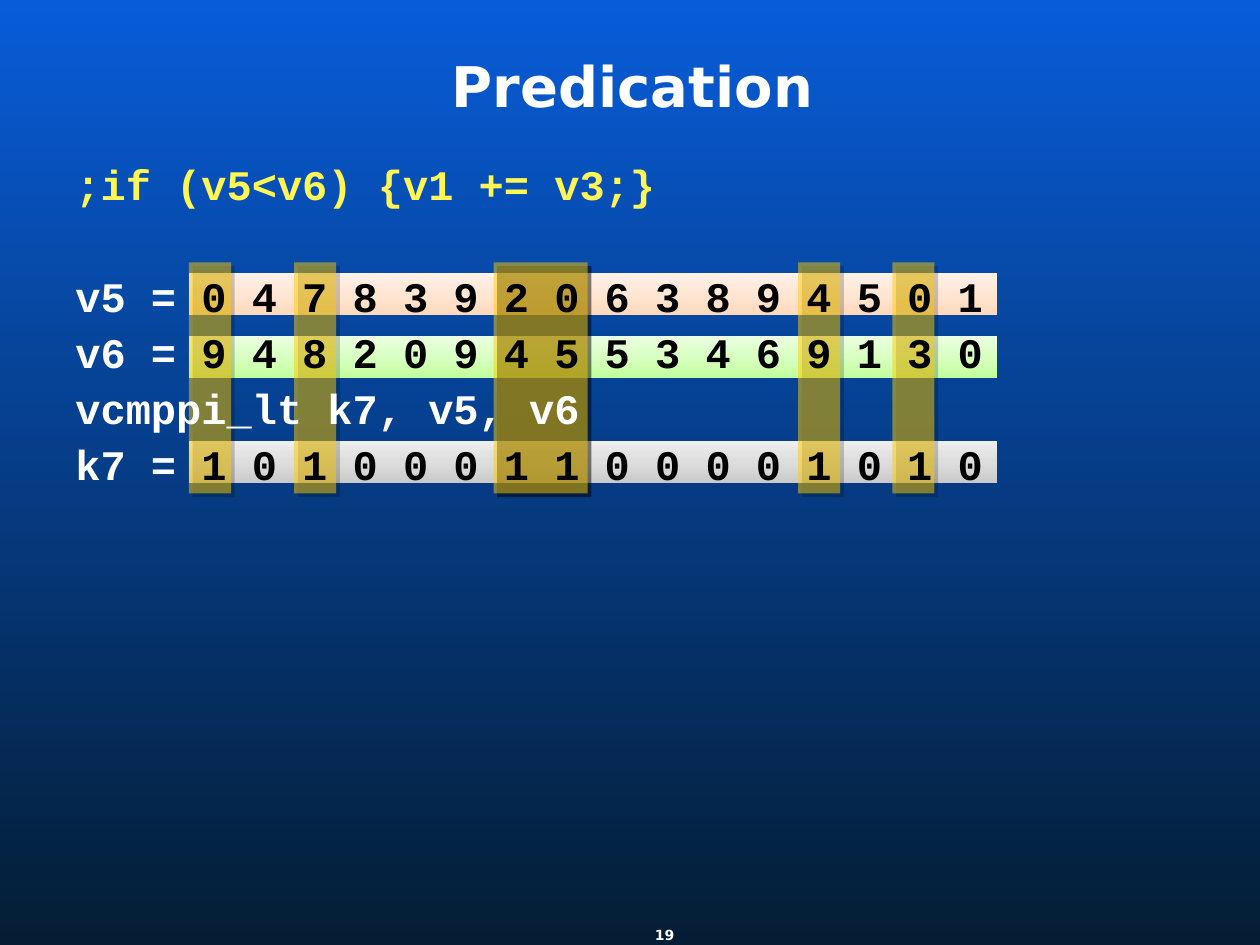
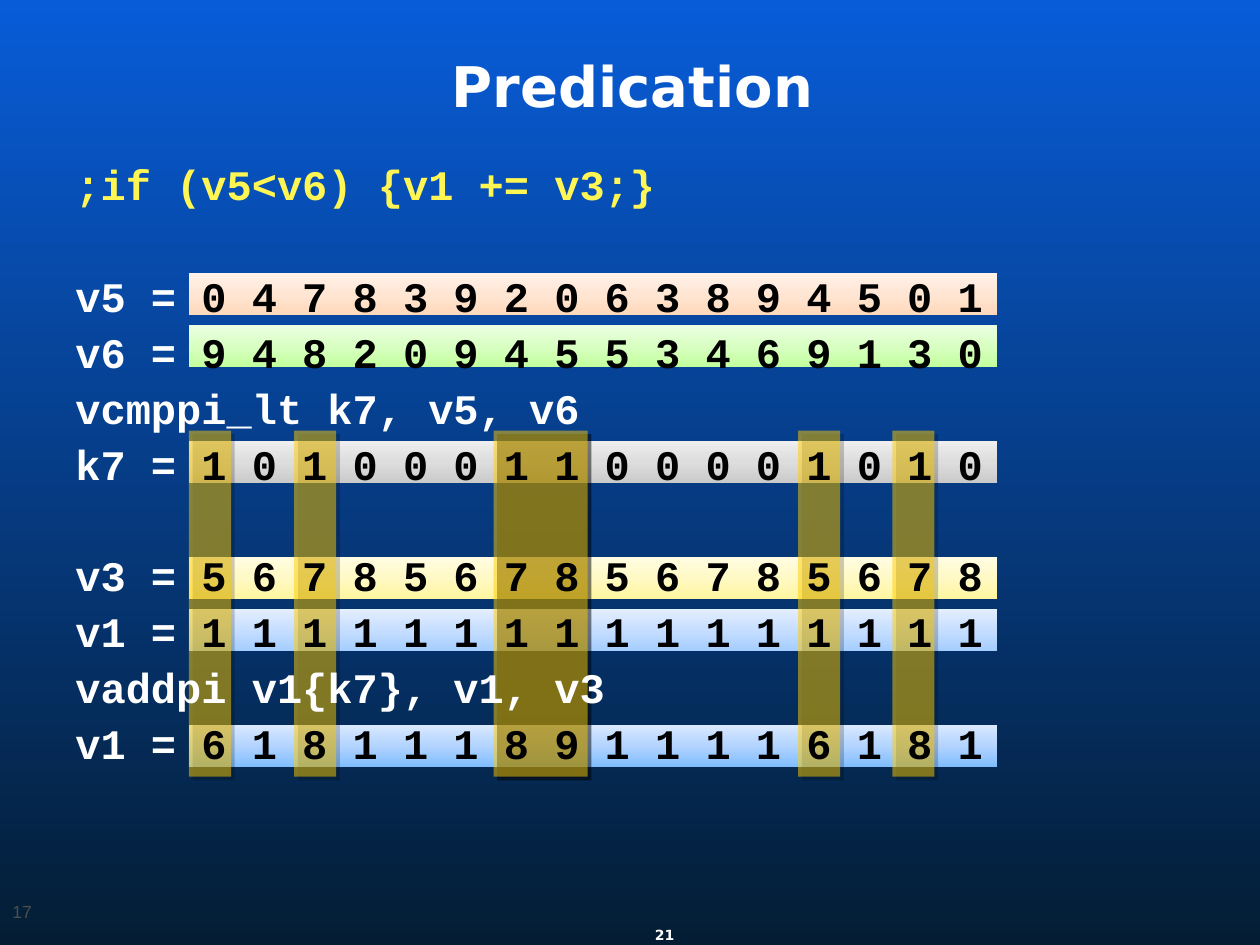
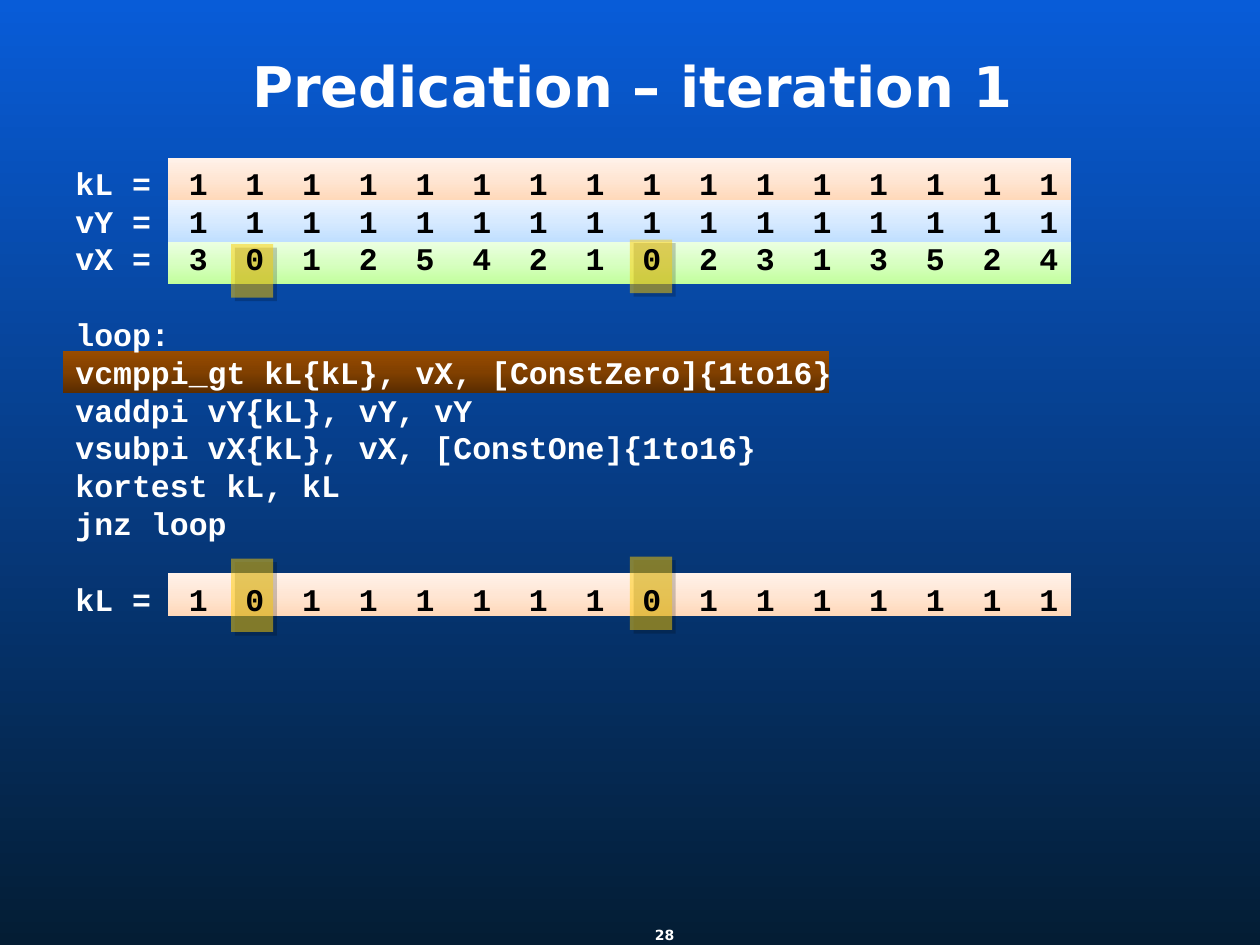
from copy import deepcopy

from lxml import etree
from pptx import Presentation
from pptx.dml.color import RGBColor
from pptx.enum.shapes import MSO_SHAPE
from pptx.enum.text import MSO_ANCHOR, MSO_AUTO_SIZE, PP_ALIGN
from pptx.oxml.ns import qn
from pptx.util import Cm, Pt

RECTANGLE = MSO_SHAPE.RECTANGLE
MIDDLE = MSO_ANCHOR.MIDDLE
TOP = MSO_ANCHOR.TOP
NO_AUTOFIT = MSO_AUTO_SIZE.NONE
CENTER = PP_ALIGN.CENTER
LEFT = PP_ALIGN.LEFT

COLOURS = {
    "white": "FFFFFF", "black": "000000", "comment": "FFF654",
    "grey": "4D4D4D", "mask": "FFCC00",
}
# Gradients run from bottom to top
GRADIENTS = {
    "background": ("041D34", "085CD8"),
    "peach": ("FFD9BA", "FFE6D4", "FFF2EA"),
    "green": ("C2FF9C", "D8FFC2", "EBFFE1"),
    "silver": ("CACACA", "DDDDDD", "EEEEEE"),
    "yellow": ("FFF69F", "FFF9C5", "FFFCE3"),
    "blue": ("A4CDFF", "C6DEFF", "E3EEFF"),
    "result": ("80BDFF", "B3D4FF", "DAE9FF"),
    "pale": ("C0DFFF", "D7EAFF", "EBF4FF"),
    "current": ("5B2D00", "814000", "994C00"),
}
HEADING_FONT = "DejaVu Sans"
CODE_FONT = "Courier New"
NOTE_FONT = "Arial"

# Register bars and lane masks (cm)
BAR_HEIGHT = 0.85
LANE_WIDTH = 0.85
REGISTER_LEFT, REGISTER_WIDTH = 3.81, 16.3
LOOP_LEFT, LOOP_WIDTH = 3.39, 18.2
TRUE_LANES = [(16.09, LANE_WIDTH), (17.99, LANE_WIDTH), (9.95, 1.9),
              (5.93, LANE_WIDTH), (3.81, LANE_WIDTH)]

# Code lines are (instruction or label, lane values); None leaves a gap
COMPARE = [
    (";if (v5<v6) {v1 += v3;}", ""),
    None,
    ("v5 = ", "0 4 7 8 3 9 2 0 6 3 8 9 4 5 0 1"),
    ("v6 = ", "9 4 8 2 0 9 4 5 5 3 4 6 9 1 3 0"),
    ("vcmppi_lt k7, v5, v6", ""),
    ("k7 = ", "1 0 1 0 0 0 1 1 0 0 0 0 1 0 1 0"),
]
MASKED_ADD = [
    None,
    ("v3 = ", "5 6 7 8 5 6 7 8 5 6 7 8 5 6 7 8"),
    ("v1 = ", "1 1 1 1 1 1 1 1 1 1 1 1 1 1 1 1"),
    ("vaddpi v1{k7}, v1, v3", ""),
    ("v1 = ", "6 1 8 1 1 1 8 9 1 1 1 1 6 1 8 1"),
]
LOOP = [
    ("kL =  ", "1  1  1  1  1  1  1  1  1  1  1  1  1  1  1  1"),
    ("vY =  ", "1  1  1  1  1  1  1  1  1  1  1  1  1  1  1  1"),
    ("vX =  ", "3  0  1  2  5  4  2  1  0  2  3  1  3  5  2  4"),
    None,
    ("loop:", ""),
    ("vcmppi_gt kL{kL}, vX, [ConstZero]{1to16}", ""),
    ("vaddpi vY{kL}, vY, vY", ""),
    ("vsubpi vX{kL}, vX, [ConstOne]{1to16}", ""),
    ("kortest kL, kL", ""),
    ("jnz loop", ""),
    None,
    ("kL =  ", "1  0  1  1  1  1  1  1  0  1  1  1  1  1  1  1"),
]


def rgb(name):
    return RGBColor.from_string(COLOURS[name])


def style_font(font, name, size, colour, bold=True):
    font.name = name
    font.size = Pt(size)
    font.bold = bold
    font.color.rgb = rgb(colour)


def paint_gradient(fill, owner, name):
    """Fill with evenly spaced stops, rising from the bottom."""
    hexes = GRADIENTS[name]
    fill.gradient()
    fill.gradient_angle = 90
    stop_list = next(owner.iter(qn("a:gsLst")))
    for _ in hexes[2:]:
        stop_list.append(deepcopy(stop_list[0]))
    for i, (stop, colour) in enumerate(zip(fill.gradient_stops, hexes)):
        stop.position = i / (len(hexes) - 1)
        stop.color.rgb = RGBColor.from_string(colour)


def add_rectangle(slide, left, top, width, height):
    rectangle = slide.shapes.add_shape(
        RECTANGLE, Cm(left), Cm(top), Cm(width), Cm(height))
    rectangle.line.fill.background()
    rectangle.shadow.inherit = False
    return rectangle


def add_bar(slide, left, top, width, gradient):
    bar = add_rectangle(slide, left, top, width, BAR_HEIGHT)
    paint_gradient(bar.fill, bar._element.spPr, gradient)


def add_mask(slide, left, top, width, height):
    """Half-transparent lane marker with a hard shadow."""
    mask = add_rectangle(slide, left, top, width, height)
    mask.fill.solid()
    mask.fill.fore_color.rgb = rgb("mask")
    properties = mask._element.spPr
    fill_colour = properties.find(qn("a:solidFill"))[0]
    etree.SubElement(fill_colour, qn("a:alpha"), val="50000")

    shadow = etree.SubElement(
        properties.find(qn("a:effectLst")), qn("a:outerShdw"),
        blurRad="0", dist=str(Pt(3)), dir=str(45 * 60000),
        algn="tl", rotWithShape="0")
    shadow_colour = etree.SubElement(
        shadow, qn("a:srgbClr"), val=COLOURS["black"])
    opacity = 50 if width > LANE_WIDTH else 40
    etree.SubElement(shadow_colour, qn("a:alpha"), val=str(opacity * 1000))


def add_code(slide, lines, size, pitch, gap_before):
    """Code listing; lane values are black, the rest white or comment yellow."""
    listing = slide.shapes.add_textbox(
        Cm(1.27), Cm(3.18), Cm(22.86), Cm(13.84)).text_frame
    listing.word_wrap = True
    paragraph = listing.paragraphs[0]
    space = 0
    for i, line in enumerate(lines):
        if line is None:
            space += pitch + gap_before
            continue
        if i:
            paragraph = listing.add_paragraph()
        paragraph.line_spacing = Pt(pitch)
        paragraph.space_before = Pt(space)
        space = gap_before
        label, values = line
        label_colour = "comment" if label.startswith(";") else "white"
        for text, colour in ((label, label_colour), (values, "black")):
            if text:
                run = paragraph.add_run()
                run.text = text
                style_font(run.font, CODE_FONT, size, colour)


def add_title(slide, text):
    title = slide.shapes.title
    title.left, title.top = Cm(1.07), Cm(0.64)
    title.width, title.height = Cm(23.37), Cm(2.34)
    frame = title.text_frame
    frame.text = text
    frame.auto_size = NO_AUTOFIT
    frame.vertical_anchor = MIDDLE
    paragraph = frame.paragraphs[0]
    paragraph.alignment = CENTER
    paragraph.line_spacing = 0.9
    style_font(paragraph.runs[0].font, HEADING_FONT, 32, "white")


def add_label(slide, text, box, alignment, anchor):
    frame = slide.shapes.add_textbox(*map(Cm, box)).text_frame
    frame.word_wrap = True
    frame.vertical_anchor = anchor
    frame.text = text
    frame.paragraphs[0].alignment = alignment
    return frame


def add_page_number(slide, number):
    frame = add_label(slide, number, (12.83, 18.42, 1.14, 0.84), CENTER, MIDDLE)
    frame.margin_left = frame.margin_right = 0
    frame.margin_top = frame.margin_bottom = 0
    style_font(frame.paragraphs[0].runs[0].font, HEADING_FONT, 8, "white")


def add_side_number(slide, number):
    frame = add_label(slide, number, (0, 18.03, 1.7, 0.69), LEFT, TOP)
    style_font(frame.paragraphs[0].runs[0].font, NOTE_FONT, 10, "grey", False)


def start_slide(prs, title, number):
    slide = prs.slides.add_slide(prs.slide_layouts[5])
    add_title(slide, title)
    add_page_number(slide, number)
    return slide


def add_registers(slide, bars, mask_top, mask_height):
    for top, gradient in bars:
        add_bar(slide, REGISTER_LEFT, top, REGISTER_WIDTH, gradient)
    for left, width in TRUE_LANES:
        add_mask(slide, left, mask_top, width, mask_height)


def build_compare(prs):
    slide = start_slide(prs, "Predication", "19")
    bars = [(8.89, "silver"), (6.77, "green"), (5.5, "peach")]
    add_registers(slide, bars, 5.29, 4.66)
    add_code(slide, COMPARE, 24, 25.92, 6)


def build_masked_add(prs):
    slide = start_slide(prs, "Predication", "21")
    bars = [(14.61, "result"), (12.28, "blue"), (11.22, "yellow"),
            (8.89, "silver"), (6.56, "green"), (5.5, "peach")]
    add_registers(slide, bars, 8.68, 6.98)
    add_code(slide, COMPARE + MASKED_ADD, 24, 25.92, 6)
    add_side_number(slide, "17")


def build_iteration(prs):
    slide = start_slide(prs, "Predication – iteration 1", "28")
    # Input registers, current instruction, resulting mask
    for i, gradient in enumerate(("peach", "pale", "green")):
        add_bar(slide, LOOP_LEFT, 3.18 + i * BAR_HEIGHT, LOOP_WIDTH, gradient)
    add_bar(slide, 1.27, 7.07, 15.45, "current")
    add_bar(slide, LOOP_LEFT, 11.56, LOOP_WIDTH, "peach")
    # Lanes that reached zero
    for left, input_top, result_top in ((4.66, 4.92, 11.26), (12.7, 4.83, 11.22)):
        add_mask(slide, left, input_top, LANE_WIDTH, 1.08)
        add_mask(slide, left, result_top, LANE_WIDTH, 1.48)
    add_code(slide, LOOP, 18, 21.6, 0)


def main():
    prs = Presentation()
    prs.slide_width, prs.slide_height = Cm(25.4), Cm(19.05)
    master = prs.slide_master
    paint_gradient(master.background.fill, master._element, "background")
    build_compare(prs)
    build_masked_add(prs)
    build_iteration(prs)
    prs.save("out.pptx")


if __name__ == "__main__":
    main()
